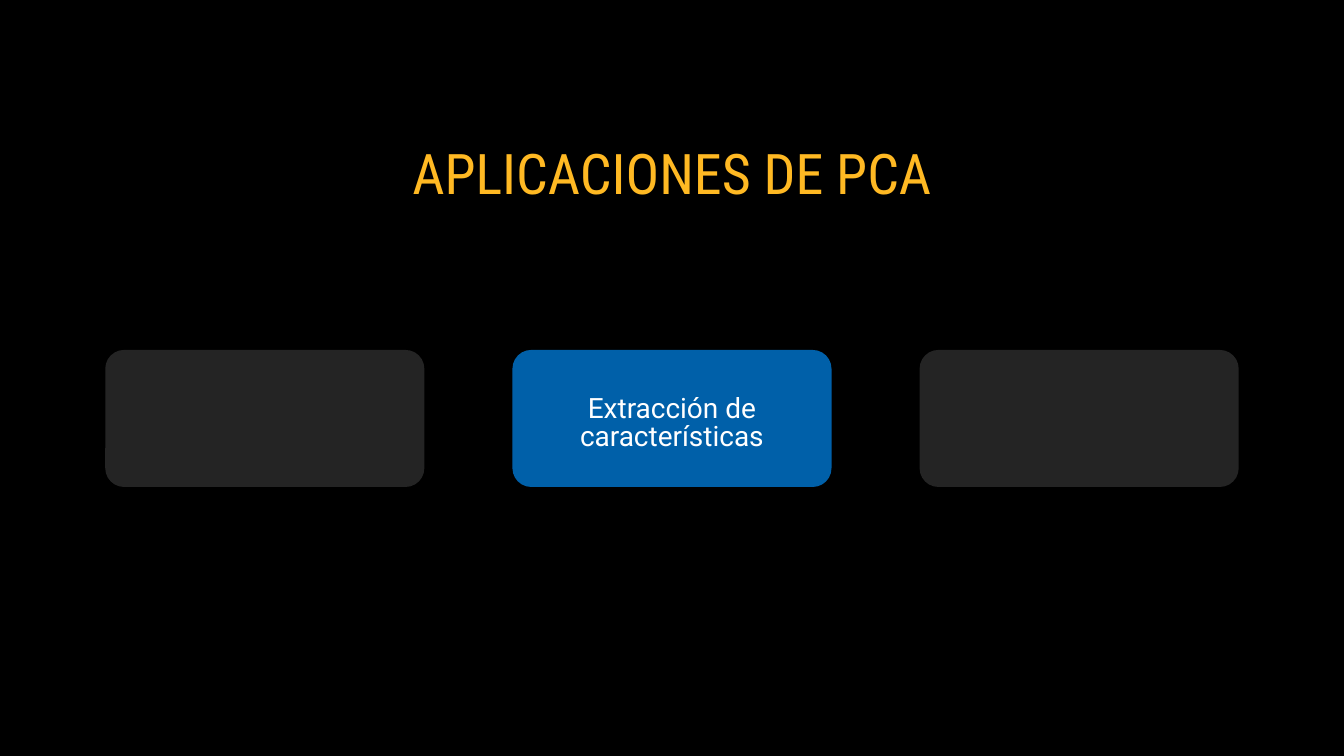
from dataclasses import dataclass

from pptx import Presentation
from pptx.dml.color import RGBColor
from pptx.enum.shapes import MSO_SHAPE
from pptx.enum.text import MSO_ANCHOR, MSO_AUTO_SIZE, PP_ALIGN
from pptx.util import Cm, Pt


@dataclass(frozen=True)
class Theme:
    background: str = "000000"
    title: str = "FFB923"
    active: str = "0060A9"
    active_text: str = "FFFFFF"
    muted: str = "242424"
    title_font: str = "Roboto Condensed"
    body_font: str = "Roboto"
    title_size: int = 60
    title_spacing: int = 84
    body_size: int = 30
    body_spacing: int = 30


THEME = Theme()

# Slide and card grid, in centimetres
SLIDE_W, SLIDE_H = 50.8, 28.58
CARD_W, CARD_H, CARD_GAP, CARD_TOP = 12.06, 5.18, 3.33, 13.23
CARD_RADIUS = 0.71
TITLE_TOP, TITLE_W, TITLE_H = 4.8, 25.43, 3.35

# Only the highlighted card carries a readable label
CARD_LABELS = [None, "Extracción de características", None]


def set_margins(tf, left, top, right, bottom):
    tf.margin_left, tf.margin_top = Cm(left), Cm(top)
    tf.margin_right, tf.margin_bottom = Cm(right), Cm(bottom)


def write_text(tf, text, font, size, spacing, color):
    tf.word_wrap = True
    p = tf.paragraphs[0]
    p.alignment = PP_ALIGN.CENTER
    p.line_spacing = Pt(spacing)
    r = p.add_run()
    r.text = text
    r.font.name = font
    r.font.size = Pt(size)
    r.font.color.rgb = RGBColor.from_string(color)


def set_fill(fill, color):
    fill.solid()
    fill.fore_color.rgb = RGBColor.from_string(color)


def add_title(s, text):
    sp = s.shapes.title
    sp.left, sp.top = Cm((SLIDE_W - TITLE_W) / 2), Cm(TITLE_TOP)
    sp.width, sp.height = Cm(TITLE_W), Cm(TITLE_H)
    tf = sp.text_frame
    tf.auto_size = MSO_AUTO_SIZE.NONE
    tf.vertical_anchor = MSO_ANCHOR.TOP
    set_margins(tf, 0, 0, 0, 0)
    write_text(tf, text, THEME.title_font, THEME.title_size,
               THEME.title_spacing, THEME.title)


def add_card(s, left, label):
    sp = s.shapes.add_shape(MSO_SHAPE.ROUNDED_RECTANGLE, Cm(left),
                            Cm(CARD_TOP), Cm(CARD_W), Cm(CARD_H))
    sp.adjustments[0] = CARD_RADIUS / CARD_H
    sp.shadow.inherit = False
    set_fill(sp.fill, THEME.active if label else THEME.muted)
    sp.line.fill.background()
    if label:
        tf = sp.text_frame
        tf.vertical_anchor = MSO_ANCHOR.MIDDLE
        set_margins(tf, 1.2, 0.58, 1.2, 0.15)
        write_text(tf, label, THEME.body_font, THEME.body_size,
                   THEME.body_spacing, THEME.active_text)


def main():
    prs = Presentation()
    prs.slide_width, prs.slide_height = Cm(SLIDE_W), Cm(SLIDE_H)
    s = prs.slides.add_slide(prs.slide_layouts.get_by_name("Title Only"))
    set_fill(s.background.fill, THEME.background)
    add_title(s, "APLICACIONES DE PCA")

    # Row of cards, centred on the slide
    pitch = CARD_W + CARD_GAP
    first = (SLIDE_W - len(CARD_LABELS) * pitch + CARD_GAP) / 2
    for i, label in enumerate(CARD_LABELS):
        add_card(s, first + i * pitch, label)

    prs.save("out.pptx")


if __name__ == "__main__":
    main()
